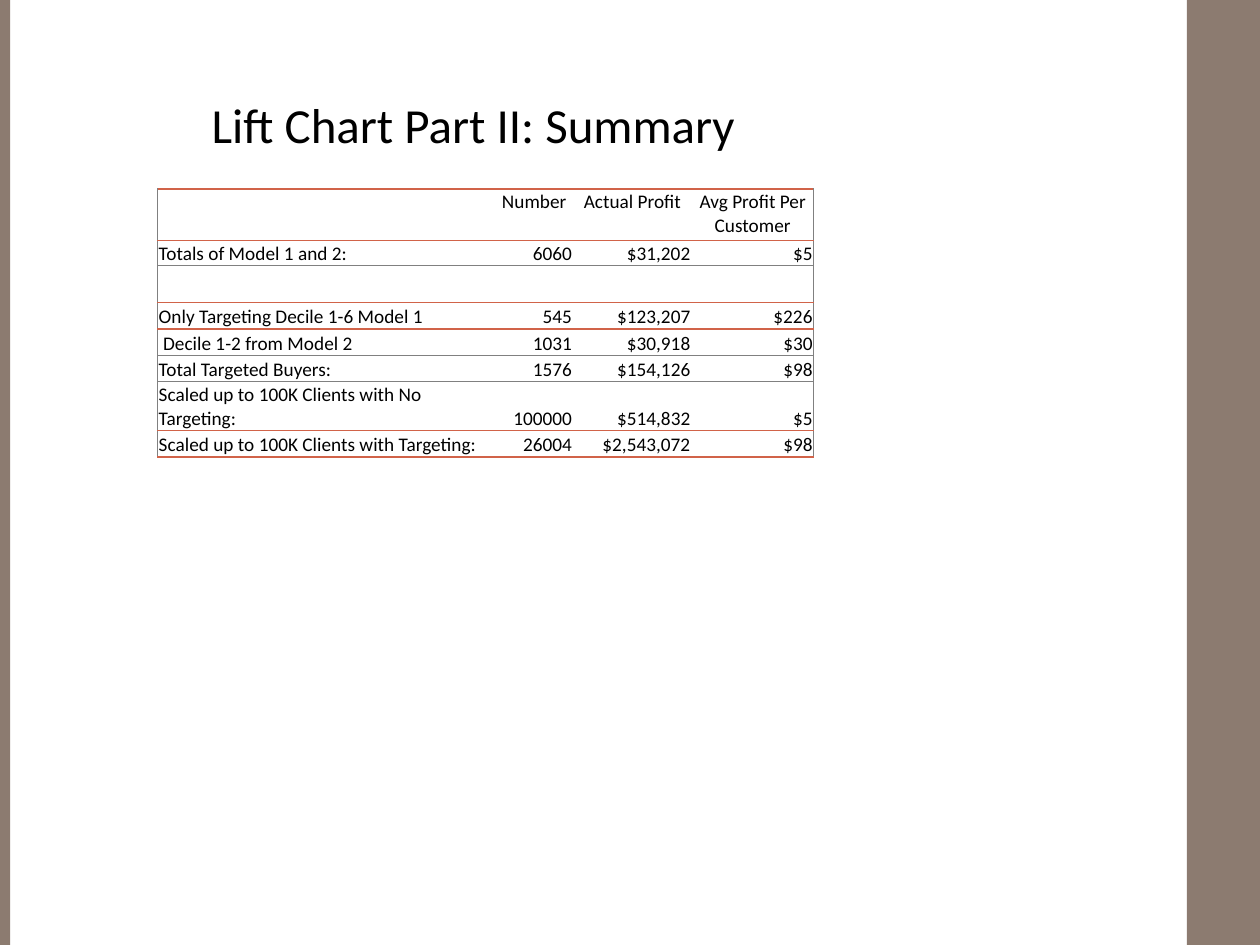
from lxml import etree
from pptx import Presentation
from pptx.dml.color import RGBColor
from pptx.enum.shapes import MSO_SHAPE
from pptx.enum.text import MSO_ANCHOR, PP_ALIGN
from pptx.oxml.ns import qn
from pptx.util import Inches, Pt

RECT = MSO_SHAPE.RECTANGLE
TOP, MIDDLE, BOTTOM = MSO_ANCHOR.TOP, MSO_ANCHOR.MIDDLE, MSO_ANCHOR.BOTTOM
LEFT, CENTER, RIGHT = PP_ALIGN.LEFT, PP_ALIGN.CENTER, PP_ALIGN.RIGHT

BLACK = RGBColor(0, 0, 0)
WHITE = RGBColor(255, 255, 255)
TAUPE = RGBColor(0x8C, 0x7B, 0x70)
ORANGE = RGBColor(0xD1, 0x63, 0x49)
GRAY = RGBColor(0x80, 0x80, 0x80)
STRONG, THIN = (ORANGE, 1), (GRAY, 0.5)

COL_WIDTHS = [2.68, 0.62, 0.94, 0.97]
ROW_HEIGHTS = [0.41, 0.2, 0.2, 0.21, 0.21, 0.21, 0.37, 0.21]
ROW_RULES = [STRONG, STRONG, THIN, STRONG, STRONG, THIN, THIN, STRONG, STRONG]
ROWS = [
    ["", "Number", "Actual Profit", "Avg Profit Per Customer"],
    ["Totals of Model 1 and 2:", "6060", "$31,202", "$5"],
    ["", "", "", ""],
    ["Only Targeting Decile 1-6 Model 1", "545", "$123,207", "$226"],
    [" Decile 1-2 from Model 2", "1031", "$30,918", "$30"],
    ["Total Targeted Buyers:", "1576", "$154,126", "$98"],
    ["Scaled up to 100K Clients with No Targeting:", "100000", "$514,832", "$5"],
    ["Scaled up to 100K Clients with Targeting:", "26004", "$2,543,072", "$98"],
]


def write(tf, text, size=11, align=LEFT, color=BLACK, font="Calibri"):
    p = tf.paragraphs[0]
    p.alignment = align
    r = p.add_run()
    r.text = text
    r.font.size = Pt(size)
    r.font.name = font
    r.font.color.rgb = color


def add_bar(s, left, width):
    sp = s.shapes.add_shape(RECT, Inches(left), 0, Inches(width), Inches(7.5))
    sp.shadow.inherit = False
    sp.fill.solid()
    sp.fill.fore_color.rgb = TAUPE
    sp.line.fill.background()


def add_title(s, text):
    sp = s.shapes.title
    sp.left, sp.top = Inches(1.58), Inches(0.7)
    sp.width, sp.height = Inches(4.41), Inches(0.57)
    tf = sp.text_frame
    tf.word_wrap = False
    tf.vertical_anchor = MIDDLE
    write(tf, text, size=28)


def set_borders(cell, borders):
    tcPr = cell._tc.get_or_add_tcPr()
    for i, (side, rule) in enumerate(borders):
        ln = etree.Element(qn("a:" + side))
        if rule:
            color, width = rule
            ln.set("w", str(Pt(width)))
            fill = etree.SubElement(ln, qn("a:solidFill"))
            etree.SubElement(fill, qn("a:srgbClr"), val=str(color))
        else:
            etree.SubElement(ln, qn("a:noFill"))
        tcPr.insert(i, ln)


def fill_cell(cell, text, row, col):
    cell.margin_left = cell.margin_top = cell.margin_right = Inches(0.01)
    cell.margin_bottom = 0
    cell.vertical_anchor = BOTTOM if row else TOP
    cell.fill.solid()
    cell.fill.fore_color.rgb = WHITE
    align = LEFT if col == 0 else RIGHT if row else CENTER
    write(cell.text_frame, text, align=align)
    set_borders(cell, [
        ("lnL", THIN if col == 0 else None),
        ("lnR", THIN if col == len(COL_WIDTHS) - 1 else None),
        ("lnT", ROW_RULES[row]),
        ("lnB", ROW_RULES[row + 1]),
    ])


def add_summary_table(s):
    frame = s.shapes.add_table(
        len(ROWS), len(COL_WIDTHS), Inches(1.25), Inches(1.5),
        Inches(sum(COL_WIDTHS)), Inches(sum(ROW_HEIGHTS)))
    table = frame.table
    table.horz_banding = False
    for column, width in zip(table.columns, COL_WIDTHS):
        column.width = Inches(width)
    for row, (height, texts) in enumerate(zip(ROW_HEIGHTS, ROWS)):
        table.rows[row].height = Inches(height)
        for col, text in enumerate(texts):
            fill_cell(table.cell(row, col), text, row, col)


def main():
    prs = Presentation()
    prs.slide_width, prs.slide_height = Inches(10), Inches(7.5)
    s = prs.slides.add_slide(prs.slide_layouts[5])
    add_bar(s, 9.42, 0.58)
    add_bar(s, 0, 0.08)
    add_title(s, "Lift Chart Part II: Summary")
    add_summary_table(s)
    prs.save("out.pptx")


main()
